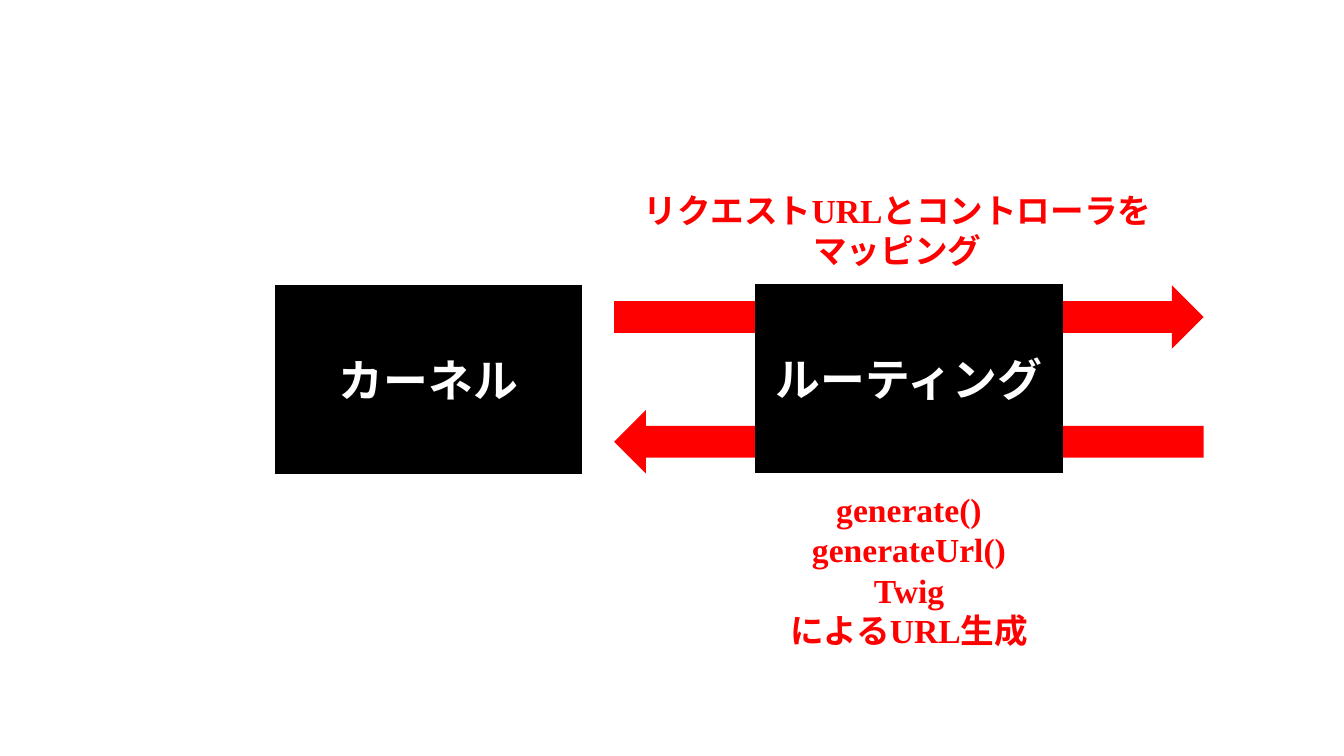
import pptx
import pptx.dml.color
import pptx.enum.shapes
import pptx.enum.text
import pptx.oxml
import pptx.oxml.ns
import pptx.util

Pt = pptx.util.Pt
MSO_SHAPE = pptx.enum.shapes.MSO_SHAPE
RED, BLACK, WHITE = "FF0000", "000000", "FFFFFF"


def rgb(value):
    """Turn a hex string into a colour."""
    return pptx.dml.color.RGBColor.from_string(value)


class Deck:
    """Hold the style and the current slide."""

    sans = "Noto Sans CJK JP"
    serif = "Times New Roman"

    def __init__(self, prs):
        """Add a blank slide to work on."""
        self.s = prs.slides.add_slide(prs.slide_layouts[6])

    def fill_text(self, tf, lines, font, size, color):
        """Fill a text frame with bold, centred paragraphs."""
        tf.word_wrap = True
        for i, line in enumerate(lines):
            p = tf.add_paragraph() if i else tf.paragraphs[0]
            p.text = line
            p.alignment = pptx.enum.text.PP_ALIGN.CENTER
            p.font.size = Pt(size)
            p.font.bold = True
            p.font.color.rgb = rgb(color)
            p.font.name = font
            rpr = p._p.pPr.find(pptx.oxml.ns.qn("a:defRPr"))
            ea = pptx.oxml.parse_xml(f'<a:ea {pptx.oxml.ns.nsdecls("a")} typeface="{self.sans}"/>')
            rpr.append(ea)

    def shape(self, kind, x, y, w, h, color):
        """Draw a flat preset shape without outline."""
        sp = self.s.shapes.add_shape(kind, Pt(x), Pt(y), Pt(w), Pt(h))
        sp.shadow.inherit = False
        sp.fill.solid()
        sp.fill.fore_color.rgb = rgb(color)
        sp.line.fill.background()
        return sp

    def arrow(self, kind, y):
        """Draw a red arrow that passes behind the routing box."""
        self.shape(kind, 438.7, y, 421, 45.3, RED)

    def process(self, x, y, label):
        """Draw a black process box with its label."""
        sp = self.shape(MSO_SHAPE.FLOWCHART_PROCESS, x, y, 219.6, 135, BLACK)
        tf = sp.text_frame
        tf.vertical_anchor = pptx.enum.text.MSO_ANCHOR.MIDDLE
        self.fill_text(tf, [label], self.sans, 32, WHITE)

    def caption(self, x, y, h, lines):
        """Place a red caption."""
        tb = self.s.shapes.add_textbox(Pt(x), Pt(y), Pt(404.6), Pt(h))
        self.fill_text(tb.text_frame, lines, self.serif, 24, RED)


prs = pptx.Presentation()
prs.slide_width, prs.slide_height = Pt(960), Pt(540)
deck = Deck(prs)
deck.arrow(MSO_SHAPE.RIGHT_ARROW, 203.8)
deck.arrow(MSO_SHAPE.LEFT_ARROW, 293)
deck.process(539.4, 203, "ルーティング")
deck.caption(438.7, 131.8, 65.5, ["リクエストURLとコントローラを\vマッピング"])
deck.caption(447, 345.6, 123.8, ["generate()", "generateUrl()", "Twig", "によるURL生成"])
deck.process(196.2, 203.6, "カーネル")
prs.save("out.pptx")
